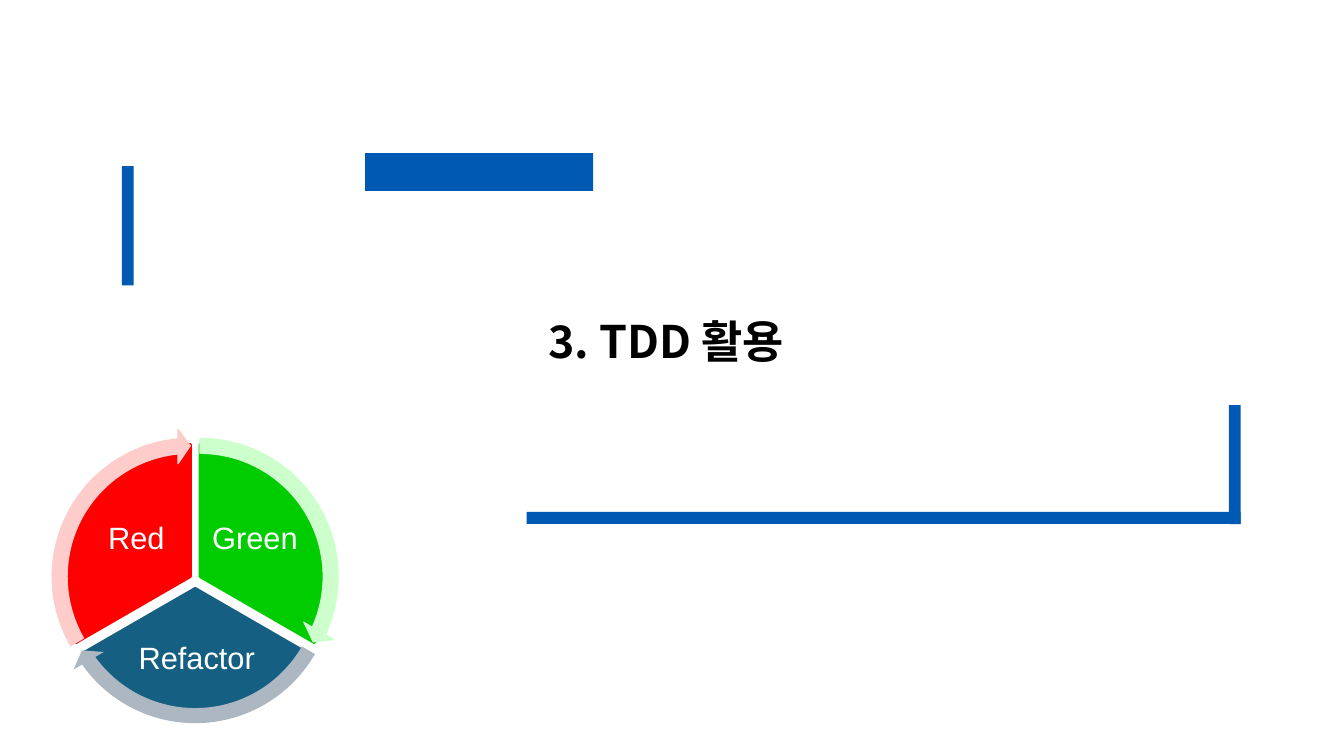
"""Build the section slide on using TDD, with its red-green-refactor cycle."""
from dataclasses import dataclass
from math import cos, radians, sin

from pptx import Presentation
from pptx.dml.color import RGBColor
from pptx.enum.shapes import MSO_SHAPE
from pptx.enum.text import MSO_ANCHOR, PP_ALIGN
from pptx.oxml.ns import qn
from pptx.util import Cm, Pt

TITLE = ("3. TDD 활용", (4.52, 5.16, 24.79, 7.04))
FRAME_BARS = [
    (3.07, 4.19, 0.3, 3.0),
    (9.2, 3.86, 5.75, 0.95),
    (13.27, 12.9, 18.0, 0.3),
    (30.97, 10.21, 0.3, 3.0),
]
STEPS = [
    dict(name="Green", start=270, end=30, label=(5.23, 12.6, 2.39, 1.98),
         fill="00CC00", edge="00CC00", arrow="CCFFCC", arrow_edge="CCFFCC"),
    dict(name="Refactor", start=30, end=150, label=(3.18, 15.75, 3.56, 1.75),
         fill="156082", edge="FFFFFF", arrow="ACB7C1", arrow_edge=None),
    dict(name="Red", start=150, end=270, label=(2.24, 12.6, 2.39, 1.98),
         fill="FF0000", edge="FF0000", arrow="FFCCCC", arrow_edge="FFCCCC"),
]
HUB = (4.92, 14.6)
PUSH = 0.14
PIE_SIZE, ARROW_SIZE = 6.65, 7.47
ARROW_WIDTH, HEAD_ANGLE, HEAD_WIDTH = 0.051, 5.46, 0.059
DEGREE = 0.6


@dataclass(frozen=True)
class Theme:
    bar: str = "005AB4"
    title: str = "000000"
    label: str = "FFFFFF"
    title_font: str = "Noto Sans CJK KR"
    label_font: str = "Arial"
    title_size: int = 32
    label_size: int = 22
    pie_line: float = 2
    arrow_line: float = 0.75


THEME = Theme()


def add_figure(page, kind, place, fill, edge=None, width=0, adjustments=()):
    figure = page.shapes.add_shape(kind, *map(Cm, place))
    figure.shadow.inherit = False
    figure.fill.solid()
    figure.fill.fore_color.rgb = RGBColor.from_string(fill)
    if edge:
        figure.line.color.rgb = RGBColor.from_string(edge)
        figure.line.width = Pt(width)
    else:
        figure.line.fill.background()
    for index, value in enumerate(adjustments):
        figure.adjustments[index] = value


def add_text(page, text, place, font, size, color, margins, bold=False):
    box = page.shapes.add_textbox(*map(Cm, place))
    frame = box.text_frame
    frame.word_wrap = True
    frame.vertical_anchor = MSO_ANCHOR.MIDDLE
    (frame.margin_left, frame.margin_top,
     frame.margin_right, frame.margin_bottom) = map(Cm, margins)
    para = frame.paragraphs[0]
    para.alignment = PP_ALIGN.CENTER
    para.line_spacing = 0.9
    span = para.add_run()
    span.text = text
    span.font.name = font
    span.font.size = Pt(size)
    span.font.bold = bold
    span.font.color.rgb = RGBColor.from_string(color)
    east_asian = span.font._element.makeelement(qn("a:ea"), {"typeface": font})
    span.font._element.find(qn("a:latin")).addnext(east_asian)


def centred_square(step, size):
    middle = radians(step["start"] + 60)
    left = HUB[0] + PUSH * cos(middle) - size / 2
    top = HUB[1] + PUSH * sin(middle) - size / 2
    return left, top, size, size


def add_sector(page, step):
    add_figure(page, MSO_SHAPE.PIE, centred_square(step, PIE_SIZE),
               step["fill"], step["edge"], THEME.pie_line,
               (step["start"] * DEGREE, step["end"] * DEGREE))
    add_text(page, step["name"], step["label"], THEME.label_font,
             THEME.label_size, THEME.label, (0.08,) * 4)


def add_cycle_arrow(page, step):
    adjustments = (ARROW_WIDTH, HEAD_ANGLE * DEGREE,
                   (step["end"] - HEAD_ANGLE) * DEGREE,
                   step["start"] * DEGREE, HEAD_WIDTH)
    add_figure(page, MSO_SHAPE.CIRCULAR_ARROW, centred_square(step, ARROW_SIZE),
               step["arrow"], step["arrow_edge"], THEME.arrow_line, adjustments)


def main():
    deck = Presentation()
    deck.slide_width, deck.slide_height = Cm(33.87), Cm(19.05)
    page = deck.slides.add_slide(deck.slide_layouts[6])
    for place in FRAME_BARS:
        add_figure(page, MSO_SHAPE.RECTANGLE, place, THEME.bar)
    add_text(page, *TITLE, THEME.title_font, THEME.title_size, THEME.title,
             (0, 0.13, 0.25, 0.13), bold=True)
    for step in STEPS:
        add_sector(page, step)
    for step in STEPS:
        add_cycle_arrow(page, step)
    deck.save("out.pptx")


if __name__ == "__main__":
    main()
